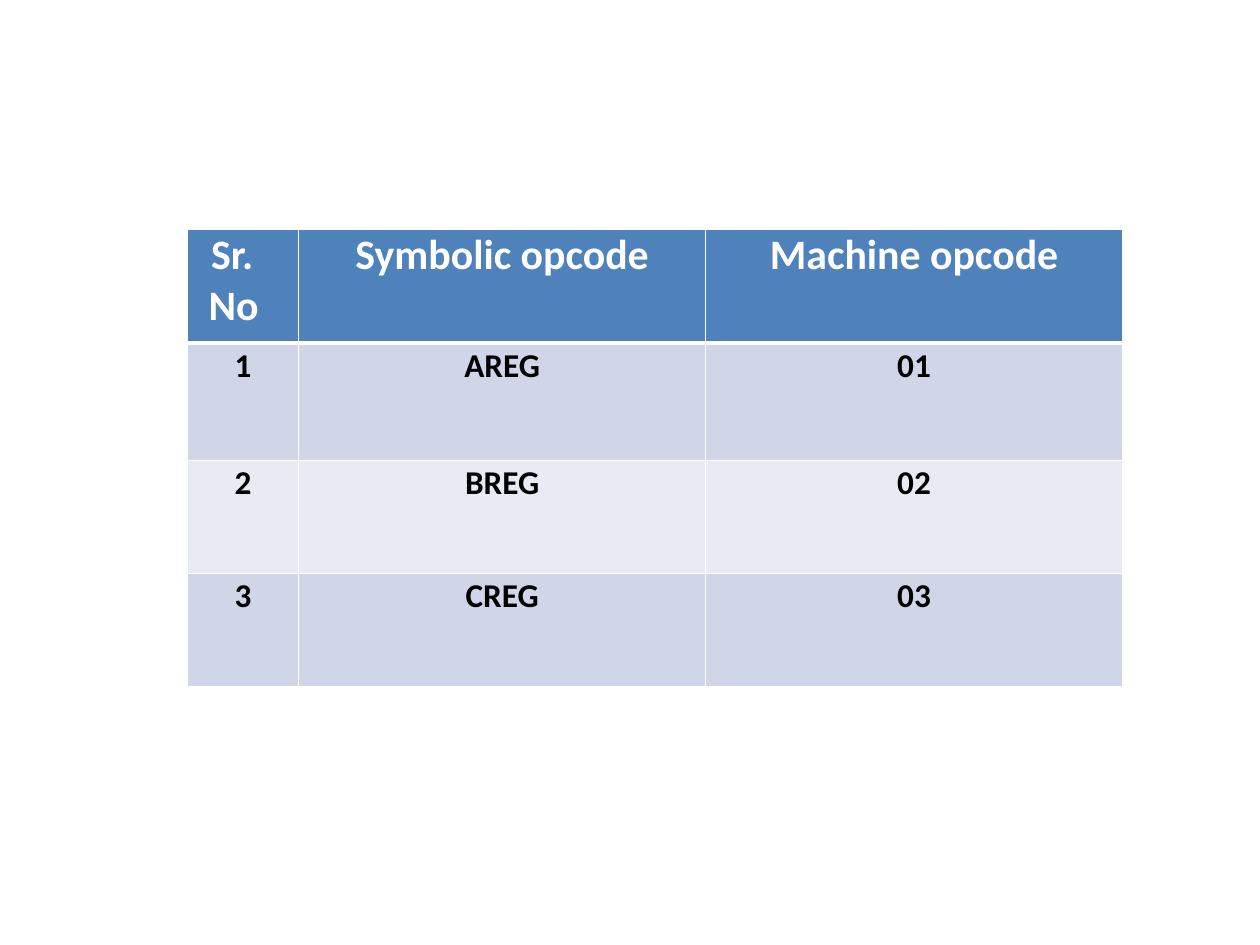
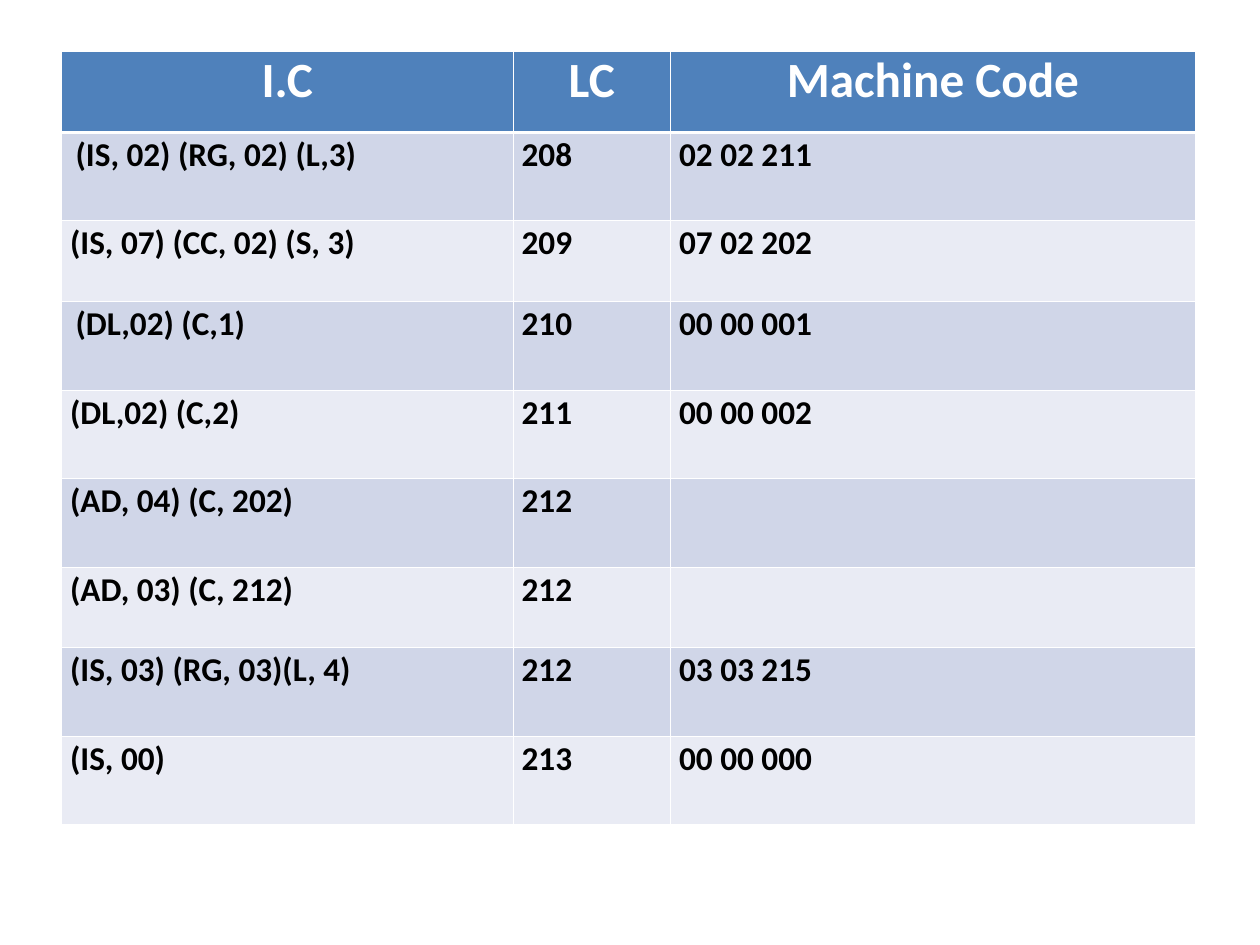
from lxml.etree import SubElement
from pptx import Presentation
from pptx.dml.color import RGBColor
from pptx.enum.text import PP_ALIGN
from pptx.oxml.ns import qn
from pptx.util import Pt

COLORS = {"header": "4F81BB", "odd": "D0D6E8", "even": "E9EBF4",
          "border": "FFFFFF", "header_text": "FFFFFF", "text": "000000"}
FONT = "Calibri"
BODY_SIZE = 27

presentation = Presentation()
presentation.slide_width, presentation.slide_height = Pt(1024), Pt(768)


def set_borders(cell, row_index):
    """White grid, with a heavier rule under the header row."""
    top = 3 if row_index == 1 else 1
    bottom = 3 if row_index == 0 else 1
    properties = cell._tc.get_or_add_tcPr()
    for tag, width in (("a:lnL", 1), ("a:lnR", 1), ("a:lnT", top), ("a:lnB", bottom)):
        line = SubElement(properties, qn(tag), w=str(Pt(width)))
        fill = SubElement(line, qn("a:solidFill"))
        SubElement(fill, qn("a:srgbClr"), val=COLORS["border"])


def add_opcode_table(rows, left, top, widths, heights, header_size, body_align):
    slide = presentation.slides.add_slide(presentation.slide_layouts[6])
    table = slide.shapes.add_table(len(rows), len(widths), Pt(left), Pt(top),
                                   Pt(sum(widths)), Pt(sum(heights))).table
    table.horz_banding = False
    for column, width in zip(table.columns, widths):
        column.width = Pt(width)
    for row_index, texts in enumerate(rows):
        table.rows[row_index].height = Pt(heights[row_index])
        is_header = row_index == 0
        band = "header" if is_header else "odd" if row_index % 2 else "even"
        for column_index, text in enumerate(texts):
            cell = table.cell(row_index, column_index)
            set_borders(cell, row_index)
            cell.fill.solid()
            cell.fill.fore_color.rgb = RGBColor.from_string(COLORS[band])
            cell.margin_left = Pt(7 if body_align == PP_ALIGN.LEFT and not is_header else 0)
            cell.margin_right = cell.margin_bottom = Pt(0)
            cell.margin_top = Pt(0 if is_header else 2)
            cell.text = text
            paragraph = cell.text_frame.paragraphs[0]
            paragraph.alignment = PP_ALIGN.CENTER if is_header else body_align
            paragraph.font.name = FONT
            paragraph.font.size = Pt(header_size if is_header else BODY_SIZE)
            paragraph.font.bold = True
            paragraph.font.color.rgb = RGBColor.from_string(
                COLORS["header_text" if is_header else "text"])
    return table


# Slide 1: register opcodes
register_rows = [("Sr. No", "Symbolic opcode", "Machine opcode")]
for number, register in enumerate(("AREG", "BREG", "CREG"), 1):
    register_rows.append((str(number), register, f"{number:02}"))
register_table = add_opcode_table(
    register_rows, 152.6, 186.6, (90, 331, 338.6), (92.2, 95.6, 91.6, 91.6),
    34, PP_ALIGN.CENTER)

# The number heading is left-aligned with a small first-line indent
number_heading = register_table.cell(0, 0)
number_heading.margin_left = Pt(17)
number_paragraph = number_heading.text_frame.paragraphs[0]
number_paragraph.alignment = PP_ALIGN.LEFT
number_paragraph._p.get_or_add_pPr().set("indent", str(Pt(2)))

# Slide 2: intermediate code and machine code
code_rows = [
    ("I.C", "LC", "Machine Code"),
    ("(IS, 02) (RG, 02) (L,3)", "208", "02 02 211"),
    ("(IS, 07) (CC, 02) (S, 3)", "209", "07 02 202"),
    ("(DL,02) (C,1)", "210", "00 00 001"),
    ("(DL,02) (C,2)", "211", "00 00 002"),
    ("(AD, 04) (C, 202)", "212", ""),
    ("(AD, 03) (C, 212)", "212", ""),
    ("(IS, 03) (RG, 03)(L, 4)", "212", "03 03 215"),
    ("(IS, 00)", "213", "00 00 000"),
]
code_heights = [65.5 if index in (0, 2, 6) else 72 for index in range(len(code_rows))]
code_table = add_opcode_table(
    code_rows, 50, 42, (367, 128, 426.6), code_heights, 40, PP_ALIGN.LEFT)

for heading in code_table.rows[0].cells:
    heading.text_frame.paragraphs[0].line_spacing = Pt(48)
for row_index in (1, 3):
    code_table.cell(row_index, 0).margin_left = Pt(11.5)

presentation.save("out.pptx")
